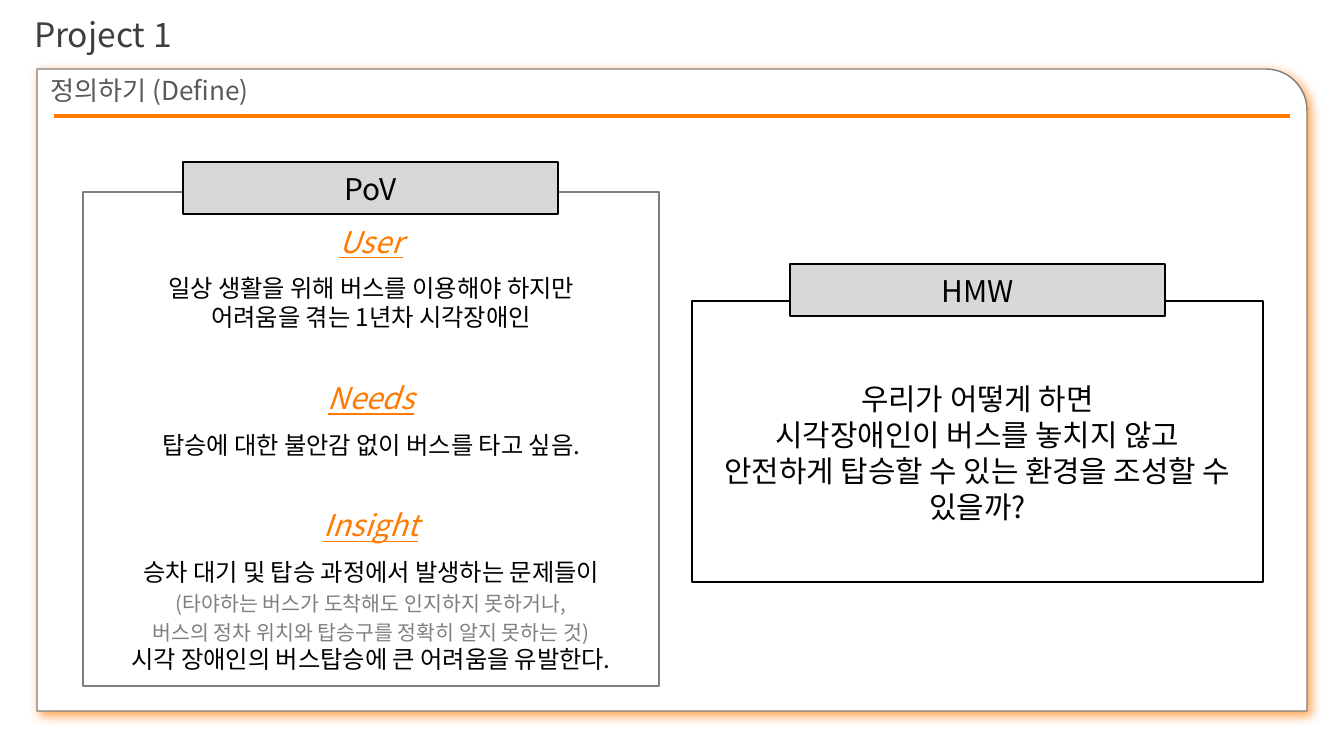
from lxml.etree import SubElement
from pptx import Presentation
from pptx.dml.color import RGBColor
from pptx.enum.shapes import MSO_CONNECTOR, MSO_SHAPE
from pptx.enum.text import MSO_ANCHOR, MSO_AUTO_SIZE, PP_ALIGN
from pptx.oxml.ns import qn
from pptx.util import Emu, Pt

PX = 914400 / 134.4
FONT = "Noto Sans CJK KR"
ORANGE, GRAY, BLACK, WHITE = "FF7A00", "7F7F7F", "000000", "FFFFFF"

USER = ["일상 생활을 위해 버스를 이용해야 하지만", "어려움을 겪는 1년차 시각장애인"]
NEEDS = ["탑승에 대한 불안감 없이 버스를 타고 싶음."]
PROBLEM = "승차 대기 및 탑승 과정에서 발생하는 문제들이"
EXAMPLES = ["(타야하는 버스가 도착해도 인지하지 못하거나,",
            "버스의 정차 위치와 탑승구를 정확히 알지 못하는 것)"]
CONCLUSION = "시각 장애인의 버스탑승에 큰 어려움을 유발한다."
QUESTION = ["우리가 어떻게 하면", "시각장애인이 버스를 놓치지 않고",
            "안전하게 탑승할 수 있는 환경을 조성할 수 있을까?"]


def px(value):
    return Emu(round(value * PX))


def color(hex_code):
    return RGBColor.from_string(hex_code)


def add_box(slide, bounds, fill, line, width, preset=MSO_SHAPE.RECTANGLE):
    box = slide.shapes.add_shape(preset, *map(px, bounds))
    box.shadow.inherit = False
    box.fill.solid()
    box.fill.fore_color.rgb = color(fill)
    box.line.color.rgb = color(line)
    box.line.width = Pt(width)
    return box


def prepare_frame(shape, anchor, insets):
    """Set wrapping, anchor and the left, top, right and bottom insets."""
    frame = shape.text_frame
    frame.word_wrap = True
    frame.auto_size = MSO_AUTO_SIZE.NONE
    frame.vertical_anchor = anchor
    (frame.margin_left, frame.margin_top,
     frame.margin_right, frame.margin_bottom) = map(px, insets)
    return frame


def write_line(frame, text, size, hex_code, spacing, align=PP_ALIGN.CENTER,
               before=0, after=0, accent=False):
    """Add one paragraph with an exact line height in points."""
    first = frame.paragraphs[0]
    paragraph = frame.add_paragraph() if first.runs else first
    paragraph.alignment = align
    paragraph.line_spacing = Pt(spacing)
    paragraph.space_before, paragraph.space_after = Pt(before), Pt(after)
    run = paragraph.add_run()
    run.text = text
    font = run.font
    font.size, font.name = Pt(size), FONT
    font.color.rgb = color(hex_code)
    if accent:
        font.italic = font.underline = True
    SubElement(font._element, qn("a:ea"), typeface=FONT)
    return paragraph


def add_page_frame(slide):
    page = add_box(slide, (37, 69, 1270, 642), WHITE, GRAY, 0.75,
                   MSO_SHAPE.ROUND_1_RECTANGLE)
    page.adjustments[0] = 0.064
    effects = page._element.spPr.find(qn("a:effectLst"))
    glow = SubElement(effects, qn("a:outerShdw"), blurRad=str(Pt(5)),
                      dist=str(Pt(3)), dir=str(45 * 60000), algn="tl", rotWithShape="0")
    tint = SubElement(glow, qn("a:srgbClr"), val=ORANGE)
    SubElement(tint, qn("a:alpha"), val="69000")

    rule = slide.shapes.add_connector(MSO_CONNECTOR.STRAIGHT,
                                      px(54), px(116), px(1290), px(116))
    rule.line.color.rgb = color(ORANGE)
    rule.line.width = Pt(2.25)
    SubElement(rule._element.spPr, qn("a:effectLst"))


def fill_placeholder(slide, holder, bounds, anchor, text, size, hex_code):
    """Move a placeholder above the page frame and write its one line."""
    holder.left, holder.top, holder.width, holder.height = map(px, bounds)
    slide.shapes._spTree.append(holder._element)
    frame = prepare_frame(holder, anchor, (0, 5, 0, 5))
    paragraph = write_line(frame, text, size, hex_code, size * 1.2, PP_ALIGN.LEFT)
    properties = paragraph._p.get_or_add_pPr()
    properties.set("marL", "0")
    properties.set("indent", "0")
    SubElement(properties, qn("a:buNone"))


def add_label(slide, left, top, text):
    label = add_box(slide, (left, top, 375, 52), "D8D8D8", BLACK, 1)
    frame = prepare_frame(label, MSO_ANCHOR.MIDDLE, (12, 5, 12, 5))
    write_line(frame, text, 16, BLACK, 19.3)


def add_point_of_view(slide):
    panel = add_box(slide, (83, 192, 576, 494), WHITE, GRAY, 1)
    frame = prepare_frame(panel, MSO_ANCHOR.TOP, (12, 31, 12, 5))
    insight = [PROBLEM, *EXAMPLES, CONCLUSION]
    sections = [("User", USER), ("Needs", NEEDS), ("Insight", insight)]
    for index, (heading, lines) in enumerate(sections):
        write_line(frame, heading, 16, ORANGE, 19.3,
                   before=25.5 if index else 0, after=8, accent=True)
        for line in lines:
            size, hex_code = (11, GRAY) if line in EXAMPLES else (13, BLACK)
            write_line(frame, line, size, hex_code, 15.5)
    add_label(slide, 183, 162, "PoV")


def add_how_might_we(slide):
    panel = add_box(slide, (692, 301, 571, 281), WHITE, BLACK, 0.75)
    frame = prepare_frame(panel, MSO_ANCHOR.TOP, (12, 79, 12, 12))
    for line in QUESTION:
        write_line(frame, line, 16, BLACK, 19.3)
    add_label(slide, 790, 264, "HMW")


def main():
    deck = Presentation()
    deck.slide_width, deck.slide_height = px(1344), px(756)
    slide = deck.slides.add_slide(deck.slide_layouts[1])
    add_page_frame(slide)
    fill_placeholder(slide, slide.shapes.title, (50, 69, 1141, 30),
                     MSO_ANCHOR.TOP, "정의하기 (Define)", 14, "595959")
    add_point_of_view(slide)
    add_how_might_we(slide)
    fill_placeholder(slide, slide.placeholders[1], (34, 22, 974, 24),
                     MSO_ANCHOR.MIDDLE, "Project 1", 18, "3F3F3F")
    deck.save("out.pptx")


if __name__ == "__main__":
    main()
